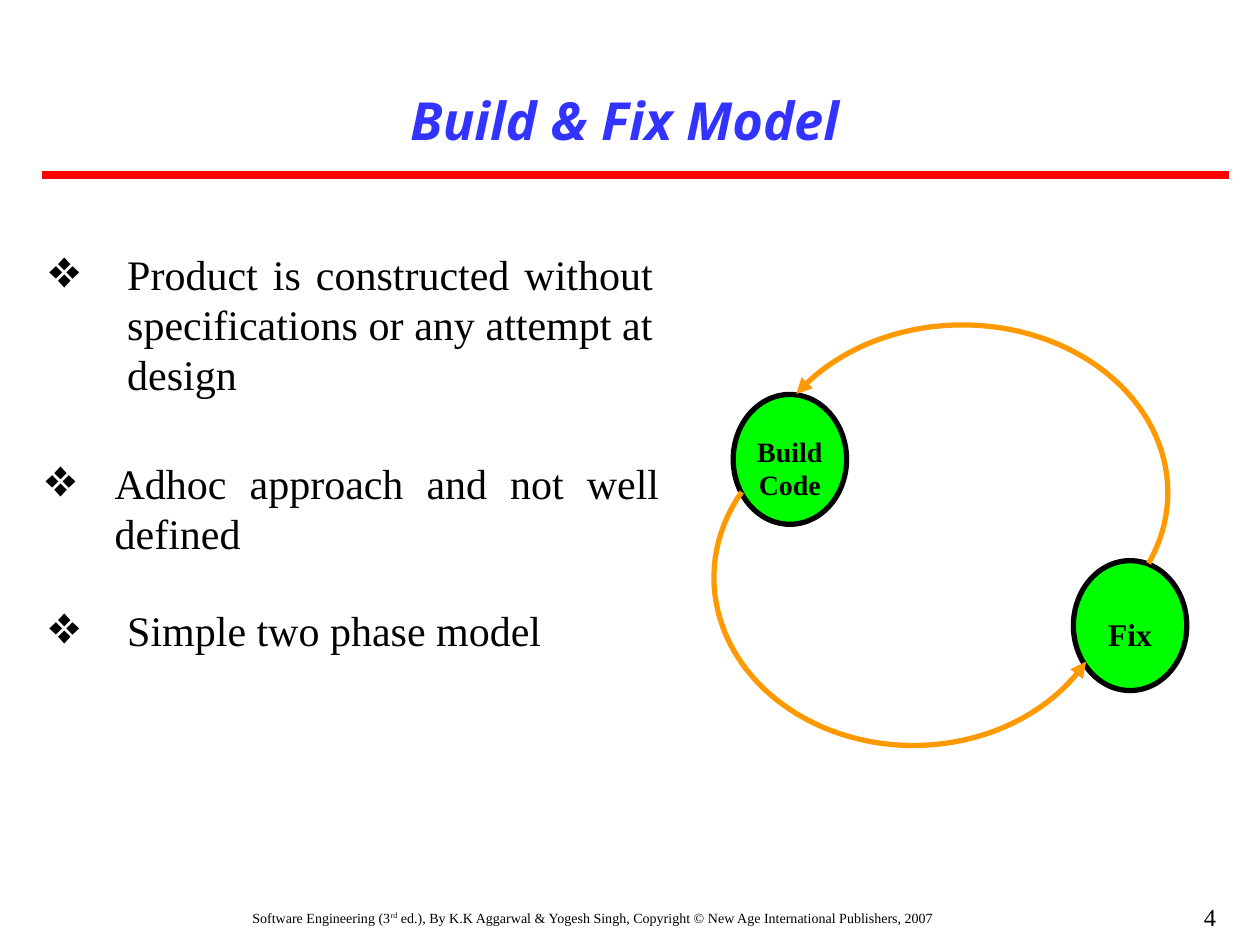
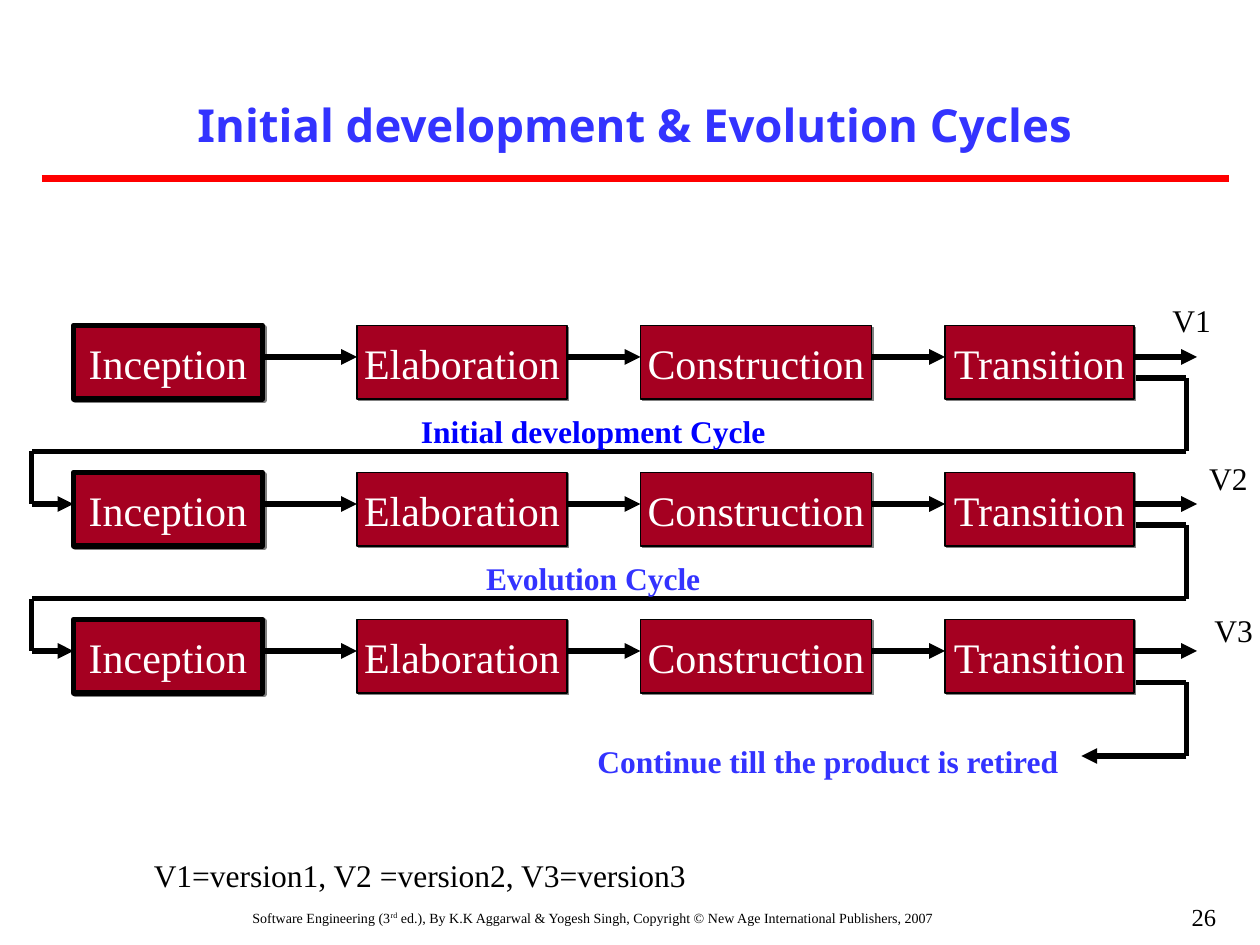
from dataclasses import dataclass
from math import cos, radians, sin

from lxml import etree
from pptx import Presentation
from pptx.dml.color import RGBColor
from pptx.enum.shapes import MSO_CONNECTOR, MSO_SHAPE
from pptx.enum.text import MSO_ANCHOR, MSO_AUTO_SIZE, PP_ALIGN
from pptx.oxml.ns import qn
from pptx.util import Pt

LEFT, CENTER = PP_ALIGN.LEFT, PP_ALIGN.CENTER
RIGHT, JUSTIFY = PP_ALIGN.RIGHT, PP_ALIGN.JUSTIFY
TOP, MIDDLE = MSO_ANCHOR.TOP, MSO_ANCHOR.MIDDLE
NO_FIT = MSO_AUTO_SIZE.NONE
RECT, OVAL = MSO_SHAPE.RECTANGLE, MSO_SHAPE.OVAL
STRAIGHT = MSO_CONNECTOR.STRAIGHT


@dataclass(frozen=True)
class Theme:
    title_font: str = "Noto Sans"
    font: str = "Times New Roman"
    title: str = "3333FF"
    rule: str = "FF0000"
    ink: str = "000000"
    paper: str = "FFFFFF"
    cycle: str = "0000FF"
    node: str = "00FF00"
    loop: str = "FF9900"
    phase: str = "A50021"
    shade: str = "808080"
    body_size: int = 24
    label_size: int = 18
    node_size: int = 16
    number_size: int = 14
    footer_size: int = 8
    leading: float = 1.2
    thin: float = 0.75
    thick: float = 3
    rule_width: float = 4.5


T = Theme()

FOOTER = (
    ("Software Engineering (3", 0),
    ("rd", 30000),
    (" ed.), By K.K Aggarwal & Yogesh Singh, Copyright © New Age International Publishers, 2007", 0),
)
POINTS = (
    ("Product is constructed without specifications or any attempt at design",
     JUSTIFY, 0, 47.5, -45.4, 3.6),
    ("Adhoc approach and not well defined", JUSTIFY, 33, 40.3, -40.3, 0),
    ("Simple two phase model", LEFT, 26.6, 47.5, -45.4, 0),
)
PHASES = (
    ("Inception", 42, 108, T.thick),
    ("Elaboration", 204, 120, T.thin),
    ("Construction", 366, 132, T.thin),
    ("Transition", 540, 108, T.thin),
)
VERSIONS = (
    ("V1", (660, 174, 42, 18)),
    ("V2", (684, 264, 36, 18)),
    ("V3", (690, 348, 30, 24)),
)
CYCLES = (("Initial development Cycle", T.cycle), ("Evolution Cycle", T.title))
FIRST_ROW, ROW_PITCH, PHASE_HEIGHT = 186, 84, 42
LOOP_LEFT, LOOP_RIGHT, VERSION_END = 18, 678, 684


def pts(values):
    return [Pt(v) for v in values]


def apply(target, **values):
    for name, value in values.items():
        setattr(target, name, value)


def add_run(p, text, size, color=T.ink, font=T.font, **style):
    r = p.add_run()
    r.text = text
    apply(r.font, size=Pt(size), name=font, **style)
    r.font.color.rgb = RGBColor.from_string(color)
    return r


def write(p, text, size, align=CENTER, **style):
    apply(p, alignment=align, line_spacing=Pt(size * T.leading))
    return add_run(p, text, size, **style)


def set_line(sp, color, width):
    sp.line.color.rgb = RGBColor.from_string(color)
    sp.line.width = Pt(width)


def add_arrowhead(sp, end):
    ln = sp._element.spPr.find(qn("a:ln"))
    etree.SubElement(ln, qn(f"a:{end}End"), type="triangle")


def add_line(s, start, end, color=T.ink, width=T.thick, arrow=False):
    sp = s.shapes.add_connector(STRAIGHT, *pts((*start, *end)))
    set_line(sp, color, width)
    if arrow:
        add_arrowhead(sp, "tail")
    etree.SubElement(sp._element.spPr, qn("a:effectLst"))


def add_route(s, corners):
    legs = list(zip(corners, corners[1:]))
    for i, (start, end) in enumerate(legs, 1):
        add_line(s, start, end, arrow=i == len(legs))


def add_text(s, box, align):
    tf = s.shapes.add_textbox(*pts(box)).text_frame
    apply(tf, word_wrap=True, vertical_anchor=TOP)
    p = tf.paragraphs[0]
    p.alignment = align
    return p


def add_filled(s, kind, box, fill, line, width):
    sp = s.shapes.add_shape(kind, *pts(box))
    sp.shadow.inherit = False
    sp.fill.solid()
    sp.fill.fore_color.rgb = RGBColor.from_string(fill)
    set_line(sp, line, width)
    apply(sp.text_frame, word_wrap=False, vertical_anchor=MIDDLE)
    return sp


def add_label(s, text, box, align=CENTER, **style):
    sp = add_filled(s, RECT, box, T.paper, T.paper, T.thin)
    write(sp.text_frame.paragraphs[0], text, T.label_size, align, **style)


def add_phase(s, name, box, width):
    sp = add_filled(s, RECT, box, T.phase, T.ink, width)
    effects = sp._element.spPr.find(qn("a:effectLst"))
    shadow = etree.SubElement(effects, qn("a:outerShdw"), dist=str(Pt(1.4)),
                              dir="2700000", algn="ctr", rotWithShape="0")
    etree.SubElement(shadow, qn("a:srgbClr"), val=T.shade)
    write(sp.text_frame.paragraphs[0], name, T.body_size, color=T.paper)


def add_node(s, lines, left, top, size):
    sp = add_filled(s, OVAL, (left, top, 64.8, 74.2), T.node, T.ink, T.thick)
    tf = sp.text_frame
    apply(tf, margin_left=0, margin_right=0, margin_bottom=0, margin_top=Pt(9.5))
    for i, text in enumerate(lines):
        p = tf.add_paragraph() if i else tf.paragraphs[0]
        write(p, text, size, bold=True)


def add_loop(s, center, radii, first, last, steps=60):
    angles = [radians(first + (last - first) * i / steps) for i in range(steps + 1)]
    curve = [(Pt(center[0] + radii[0] * cos(a)), Pt(center[1] + radii[1] * sin(a)))
             for a in angles]
    outline = s.shapes.build_freeform(*curve[0])
    outline.add_line_segments(curve[1:], close=False)
    sp = outline.convert_to_shape()
    sp.shadow.inherit = False
    sp.fill.background()
    set_line(sp, T.loop, T.thick)
    add_arrowhead(sp, "head")


def place(sp, box):
    apply(sp, **dict(zip(("left", "top", "width", "height"), pts(box))))
    apply(sp.text_frame, word_wrap=True, auto_size=NO_FIT)
    return sp.text_frame


def add_slide(prs, layout, title, box, size, rule_y, number, italic=False):
    s = prs.slides.add_slide(prs.slide_layouts[layout])
    tf = place(s.shapes.title, box)
    tf.vertical_anchor = MIDDLE
    p = tf.paragraphs[0]
    p.alignment = CENTER
    add_run(p, title, size, T.title, T.title_font, bold=True, italic=italic)
    add_line(s, (24, rule_y), (702, rule_y), T.rule, T.rule_width)
    p = add_text(s, (18, 516, 642, 24), CENTER)
    for text, raised in FOOTER:
        r = add_run(p, text, T.footer_size)
        if raised:
            r.font._element.set("baseline", str(raised))
    p = add_text(s, (552, 512, 150, 28), RIGHT)
    add_run(p, str(number), T.number_size)
    return s


def add_bullet(p, left, indent, right):
    pPr = p._p.get_or_add_pPr()
    for name, value in (("marL", left), ("indent", indent), ("marR", right)):
        pPr.set(name, str(Pt(value)))
    etree.SubElement(pPr, qn("a:buFont"), typeface=T.font)
    etree.SubElement(pPr, qn("a:buChar"), char="❖")


def fill_points(s):
    tf = place(s.placeholders[1], (18, 138.2, 366, 260))
    tf.vertical_anchor = TOP
    for i, (text, align, before, left, indent, right) in enumerate(POINTS):
        p = tf.add_paragraph() if i else tf.paragraphs[0]
        add_bullet(p, left, indent, right)
        p.space_before = Pt(before)
        write(p, text, T.body_size, align)


def add_phase_row(s, top):
    arrow_y = top + 18
    for name, left, width, border in PHASES:
        add_phase(s, name, (left, top, width, PHASE_HEIGHT), border)
    ends = [left for _, left, _, _ in PHASES[1:]] + [VERSION_END]
    for (_, left, width, _), end in zip(PHASES, ends):
        add_line(s, (left + width, arrow_y), (end, arrow_y), arrow=True)


def build_fix_slide(prs):
    s = add_slide(prs, 1, "Build & Fix Model", (24, 46.8, 666, 43.2), 30, 100, 4,
                  italic=True)
    fill_points(s)
    add_node(s, ["Fix"], 613.4, 320.4, T.label_size)
    add_node(s, ["Build", "Code"], 419, 225.4, T.node_size)
    add_loop(s, (522, 330), (114, 96), 30, 210.6)
    add_loop(s, (550, 281.5), (117.4, 95.8), 216, 385)


def build_cycles_slide(prs):
    s = add_slide(prs, 5, "Initial development & Evolution Cycles",
                  (24, 51.8, 678, 38.9), 26, 102, 26)
    rows = [FIRST_ROW + ROW_PITCH * i for i in range(len(VERSIONS))]
    phase_left = PHASES[0][1]
    phase_right = PHASES[-1][1] + PHASES[-1][2]
    for top, (text, color) in zip(rows, CYCLES):
        add_route(s, [(phase_right, top + 30), (LOOP_RIGHT, top + 30),
                      (LOOP_RIGHT, top + 72), (LOOP_LEFT, top + 72),
                      (LOOP_LEFT, top + 102), (phase_left, top + 102)])
        add_label(s, text, (150, top + 54, 378, 12), color=color, bold=True)
    top = rows[-1]
    add_route(s, [(phase_right, top + 36), (LOOP_RIGHT, top + 36),
                  (LOOP_RIGHT, top + 78), (618, top + 78)])
    add_label(s, "Continue till the product is retired", (282, 420, 330, 30), RIGHT,
              color=T.title, bold=True)
    for top, (version, box) in zip(rows, VERSIONS):
        add_phase_row(s, top)
        add_label(s, version, box)
    add_label(s, "V1=version1, V2 =version2, V3=version3", (69, 488, 342, 24))


def main():
    prs = Presentation()
    prs.slide_width, prs.slide_height = Pt(720), Pt(540)
    build_fix_slide(prs)
    build_cycles_slide(prs)
    prs.save("out.pptx")


if __name__ == "__main__":
    main()
